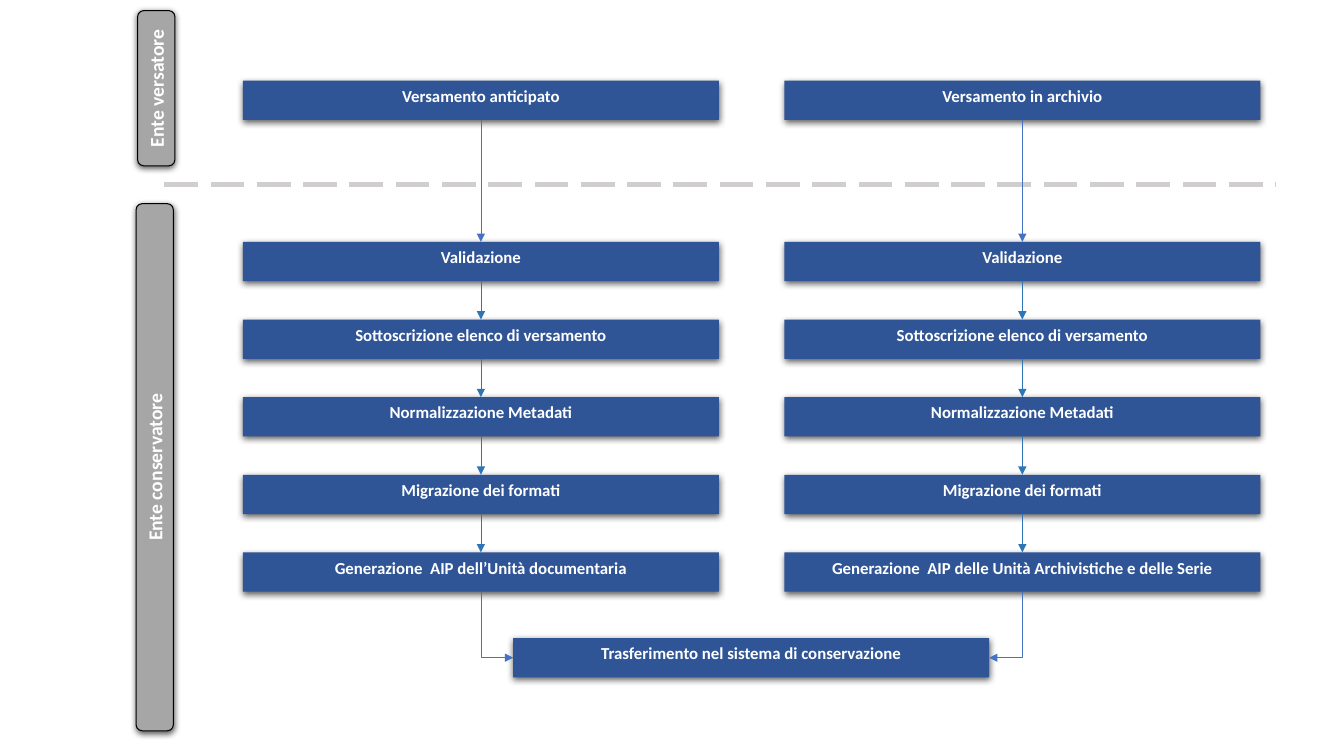
from lxml import etree
from pptx import Presentation
from pptx import util as u
from pptx.dml.color import RGBColor
from pptx.enum import dml, shapes, text
from pptx.oxml.ns import qn

BLUE = RGBColor(0x2F, 0x55, 0x97)
STEP_LINE = RGBColor(0x2E, 0x75, 0xB6)
FLOW_LINE = RGBColor(0x44, 0x72, 0xC4)
GRAY = RGBColor(0xA6, 0xA6, 0xA6)
DIVIDER = RGBColor(0xD0, 0xCE, 0xCE)
BLACK = RGBColor(0, 0, 0)
WHITE = RGBColor(255, 255, 255)

BOX_WIDTH, BOX_HEIGHT = 4.72, 0.39
TOP, LEFT, BOTTOM, RIGHT = range(4)


class FlowSlide:
    font = "Calibri"

    def __init__(self, slide):
        self.slide = slide

    def shadow(self, shape):
        shape.shadow.inherit = False
        effects = shape._element.spPr.find(qn("a:effectLst"))
        outer = etree.SubElement(
            effects, qn("a:outerShdw"), blurRad=str(u.Pt(4.5)),
            dist=str(u.Pt(1.5)), dir="5400000", algn="ctr", rotWithShape="0")
        color = etree.SubElement(outer, qn("a:srgbClr"), val=str(BLACK))
        etree.SubElement(color, qn("a:alpha"), val="63000")

    def block(self, kind, wording, left, top, width, height, fill, size):
        shape = self.slide.shapes.add_shape(
            kind, u.Inches(left), u.Inches(top), u.Inches(width), u.Inches(height))
        shape.fill.solid()
        shape.fill.fore_color.rgb = fill
        shape.line.fill.background()
        self.shadow(shape)
        frame = shape.text_frame
        frame.text = wording
        frame.word_wrap = True
        frame.vertical_anchor = text.MSO_ANCHOR.TOP
        paragraph = frame.paragraphs[0]
        paragraph.alignment = text.PP_ALIGN.CENTER
        font = paragraph.runs[0].font
        font.name, font.size, font.bold = self.font, u.Pt(size), True
        font.color.rgb = WHITE
        return shape

    def box(self, wording, left, top):
        return self.block(shapes.MSO_SHAPE.RECTANGLE, wording, left, top,
                          BOX_WIDTH, BOX_HEIGHT, BLUE, 12)

    def lane_label(self, wording, left, top, width):
        shape = self.block(shapes.MSO_SHAPE.ROUNDED_RECTANGLE, wording, left, top,
                           width, 0.37, GRAY, 14)
        shape.rotation = 270
        shape.line.color.rgb = BLACK
        shape.line.width = u.Pt(0.75)

    def line(self, kind, start, end, color, width):
        connector = self.slide.shapes.add_connector(
            kind, *(u.Inches(value) for value in start + end))
        connector.line.color.rgb = color
        connector.line.width = u.Pt(width)
        etree.SubElement(connector._element.spPr, qn("a:effectLst"))
        return connector

    def divider(self, left, right, top):
        line = self.line(shapes.MSO_CONNECTOR.STRAIGHT, (left, top), (right, top),
                         DIVIDER, 3)
        line.line.dash_style = dml.MSO_LINE.LONG_DASH

    def arrow(self, source, target, color, side=TOP):
        kinds = shapes.MSO_CONNECTOR
        connector = self.line(kinds.STRAIGHT if side == TOP else kinds.ELBOW,
                              (0, 0), (0, 0), color, 0.5)
        connector.begin_connect(source, BOTTOM)
        connector.end_connect(target, side)
        etree.SubElement(connector.line._get_or_add_ln(), qn("a:tailEnd"),
                         type="triangle")
        if side != TOP:
            self.bend(connector, side)

    def bend(self, connector, side):
        width, height = connector.width, connector.height
        connector.left += (width - height) // 2
        connector.top += (height - width) // 2
        connector.width, connector.height = height, width
        properties = connector._element.spPr
        properties.find(qn("a:prstGeom")).set("prst", "bentConnector2")
        transform = properties.find(qn("a:xfrm"))
        transform.set("rot", "16200000" if side == LEFT else "5400000")
        transform.set("flipH", "1" if side == LEFT else "0")


presentation = Presentation()
presentation.slide_width = u.Inches(13.33)
presentation.slide_height = u.Inches(7.5)
flow = FlowSlide(presentation.slides.add_slide(presentation.slide_layouts[6]))

flow.divider(1.63, 12.66, 1.83)

shared_steps = ["Validazione", "Sottoscrizione elenco di versamento",
                "Normalizzazione Metadati", "Migrazione dei formati"]
columns = [
    (2.41, LEFT, "Versamento anticipato",
     "Generazione  AIP dell’Unità documentaria"),
    (7.78, RIGHT, "Versamento in archivio",
     "Generazione  AIP delle Unità Archivistiche e delle Serie"),
]
transfer = flow.box("Trasferimento nel sistema di conservazione", 5.09, 6.33)

for left, transfer_side, deposit, generation in columns:
    source = flow.box(deposit, left, 0.8)
    for row, wording in enumerate(shared_steps + [generation]):
        step = flow.box(wording, left, 2.4 + 0.77 * row)
        flow.arrow(source, step, STEP_LINE if row else FLOW_LINE)
        source = step
    flow.arrow(source, transfer, FLOW_LINE, transfer_side)

flow.lane_label("Ente versatore", 0.78, 0.69, 1.54)
flow.lane_label("Ente conservatore", -1.08, 4.45, 5.23)

presentation.save("out.pptx")
